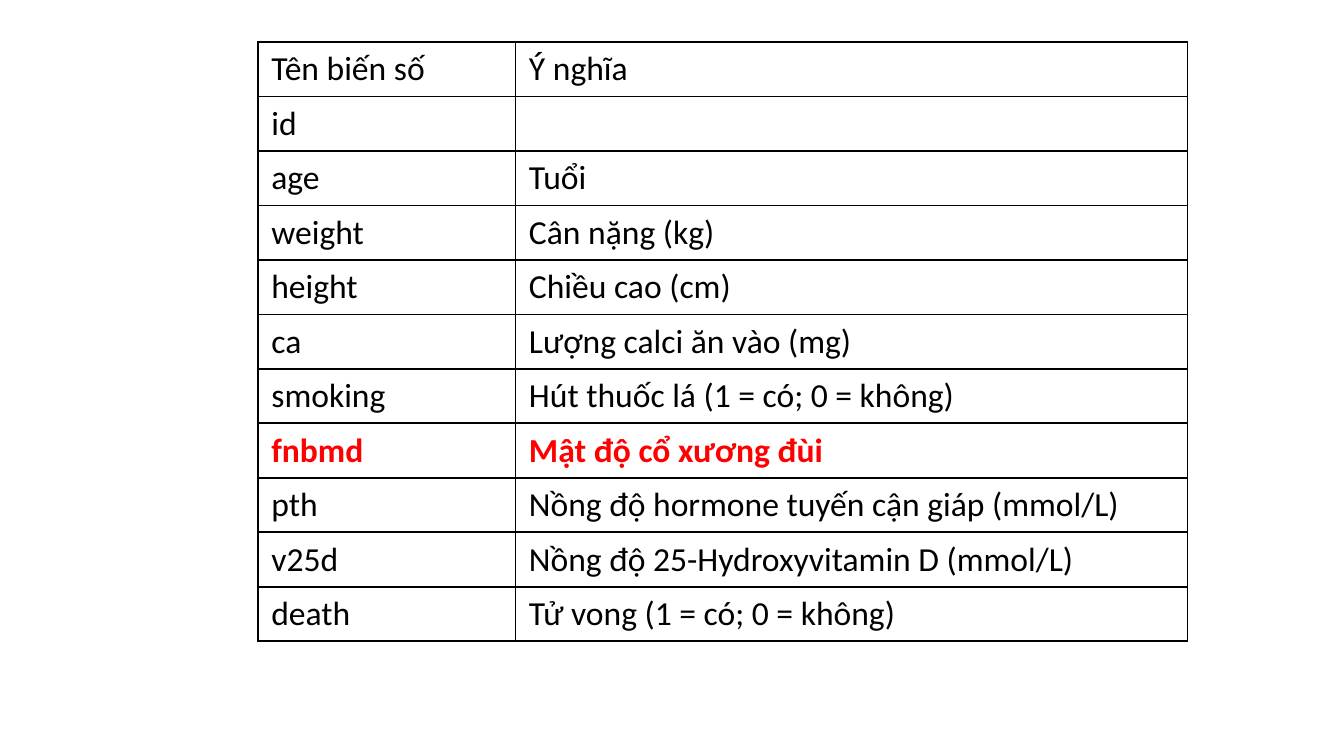
from dataclasses import dataclass

from lxml.etree import SubElement
from pptx import Presentation
from pptx.dml.color import RGBColor
from pptx.oxml.ns import qn
from pptx.util import Pt


@dataclass(frozen=True)
class Theme:
    font: str = "Calibri"
    size: float = 18
    text: str = "000000"
    highlight: str = "FF0000"
    border: str = "000000"
    cell: str = "FFFFFF"


theme = Theme()

VARIABLES = [
    ("Tên biến số", "Ý nghĩa"),
    ("id", ""),
    ("age", "Tuổi"),
    ("weight", "Cân nặng (kg)"),
    ("height", "Chiều cao (cm)"),
    ("ca", "Lượng calci ăn vào (mg)"),
    ("smoking", "Hút thuốc lá (1 = có; 0 = không)"),
    ("fnbmd", "Mật độ cổ xương đùi"),
    ("pth", "Nồng độ hormone tuyến cận giáp (mmol/L)"),
    ("v25d", "Nồng độ 25-Hydroxyvitamin D (mmol/L)"),
    ("death", "Tử vong (1 = có; 0 = không)"),
]
OUTCOME = "fnbmd"
COLUMN_WIDTHS = (138, 360)
ROW_HEIGHT = 29.2


def add_borders(cell):
    properties = cell._tc.get_or_add_tcPr()
    for side in ("lnL", "lnR", "lnT", "lnB"):
        line = SubElement(properties, qn(f"a:{side}"), w=str(Pt(1)))
        fill = SubElement(line, qn("a:solidFill"))
        SubElement(fill, qn("a:srgbClr"), val=theme.border)


deck = Presentation()
deck.slide_width, deck.slide_height = Pt(720), Pt(405)
page = deck.slides.add_slide(deck.slide_layouts[6])

table = page.shapes.add_table(
    len(VARIABLES), len(COLUMN_WIDTHS), Pt(138.2), Pt(22.4),
    Pt(sum(COLUMN_WIDTHS)), Pt(ROW_HEIGHT * len(VARIABLES)),
).table
table.first_row = False
table.horz_banding = False
for column, width in zip(table.columns, COLUMN_WIDTHS):
    column.width = Pt(width)

for row, entry in zip(table.rows, VARIABLES):
    row.height = Pt(ROW_HEIGHT)
    is_outcome = entry[0] == OUTCOME
    for cell, words in zip(row.cells, entry):
        add_borders(cell)
        cell.fill.solid()
        cell.fill.fore_color.rgb = RGBColor.from_string(theme.cell)
        if not words:
            continue
        span = cell.text_frame.paragraphs[0].add_run()
        span.text = words
        span.font.name = theme.font
        span.font.size = Pt(theme.size)
        span.font.bold = is_outcome
        color = theme.highlight if is_outcome else theme.text
        span.font.color.rgb = RGBColor.from_string(color)

deck.save("out.pptx")
